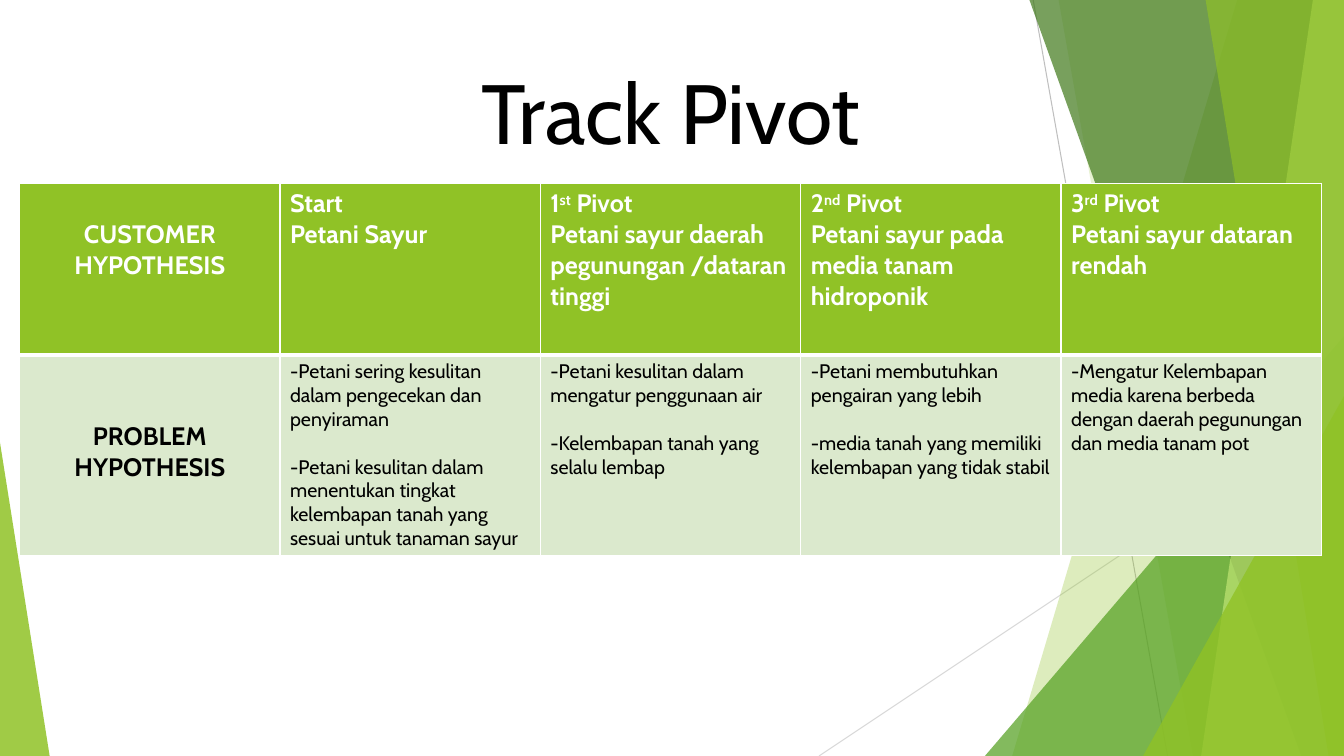
"""Build the Track Pivot slide: a hypothesis table over green angular shapes."""
from lxml.etree import SubElement
from pptx import Presentation
from pptx.dml.color import RGBColor
from pptx.enum.shapes import MSO_CONNECTOR, MSO_SHAPE
from pptx.enum.text import MSO_ANCHOR, PP_ALIGN
from pptx.oxml import parse_xml
from pptx.oxml.ns import nsdecls, qn
from pptx.util import Pt

TITLE = "Track Pivot"
FONT = "Cabin"
PIVOTS = [
    (("Start", "", ""), "Petani Sayur"),
    (("1", "st", " Pivot"), "Petani sayur daerah pegunungan /dataran tinggi"),
    (("2", "nd", " Pivot"), "Petani sayur pada media tanam hidroponik"),
    (("3", "rd", " Pivot"), "Petani sayur dataran rendah"),
]
PROBLEMS = [
    ["-Petani sering kesulitan dalam pengecekan dan penyiraman",
     "-Petani kesulitan dalam menentukan tingkat kelembapan tanah yang sesuai untuk tanaman sayur"],
    ["-Petani kesulitan dalam mengatur penggunaan air",
     "-Kelembapan tanah yang selalu lembap"],
    ["-Petani membutuhkan pengairan yang lebih",
     "-media tanah yang memiliki kelembapan yang tidak stabil"],
    ["-Mengatur Kelembapan media karena berbeda dengan daerah pegunungan dan media tanam pot"],
]
COLORS = {"lime": "90C226", "green": "54A021", "forest": "3F7819", "pale": "C0E474",
          "mint": "DBE9CD", "white": "FFFFFF", "black": "000000",
          "gray": "BFBFBF", "light gray": "D9D9D9"}

WIDTH, HEIGHT = 960, 540
RAYS = [((738, 0), (834, HEIGHT), "gray"), ((WIDTH, 290), (585, HEIGHT), "light gray")]
# Bands hold top and bottom x; triangles hold left, top, width and apex position.
FACETS = [
    ("band", (884, 723), "lime", 30),
    ("band", (756, 852), "lime", 20),
    ("triangle", (703.5, 240, 256.5, 1), "green", 72),
    ("band", (735, 929.5), "forest", 70),
    ("band", (938, 858), "pale", 70),
    ("band", (861, 949), "lime", 65),
    ("triangle", (816.5, 283, 143.5, 1), "lime", 80),
    ("triangle", (0, 316, 35.5, 0), "lime", 85),
]
TABLE_LEFT, TABLE_TOP, COLUMN_WIDTH = 14, 131, 186
ROW_HEIGHTS = (122.4, 142.5)
CELL_MARGIN, HEADING_LINE, PROBLEM_LINE = 3.6, 22, 17


def rgb(name):
    return RGBColor.from_string(COLORS[name])


def add_ray(slide, start, end, color):
    ray = slide.shapes.add_connector(MSO_CONNECTOR.STRAIGHT, *map(Pt, start + end))
    ray.line.color.rgb = rgb(color)
    ray.line.width = Pt(0.75)
    SubElement(ray._element.spPr, qn("a:effectLst"))


def add_facet(slide, kind, geometry, color, opacity):
    if kind == "band":
        top_x, bottom_x = geometry
        outline = slide.shapes.build_freeform(Pt(top_x), Pt(-1))
        corners = [(WIDTH, -1), (WIDTH, HEIGHT), (bottom_x, HEIGHT)]
        outline.add_line_segments([(Pt(x), Pt(y)) for x, y in corners], close=True)
        facet = outline.convert_to_shape()
    else:
        left, top, width, apex = geometry
        facet = slide.shapes.add_shape(MSO_SHAPE.ISOSCELES_TRIANGLE,
                                       Pt(left), Pt(top), Pt(width), Pt(HEIGHT - top))
        facet.adjustments[0] = apex
    facet.shadow.inherit = False
    facet.line.fill.background()
    facet.fill.solid()
    facet.fill.fore_color.rgb = rgb(color)
    tint = facet._element.spPr.find(qn("a:solidFill"))[0]
    SubElement(tint, qn("a:alpha")).set("val", str(opacity * 1000))


def style_cell(cell, fill, thick_side):
    cell.fill.solid()
    cell.fill.fore_color.rgb = rgb(fill)
    properties = cell._tc.get_or_add_tcPr()
    for place, side in enumerate("LRTB"):
        width = Pt(3 if side == thick_side else 1)
        properties.insert(place, parse_xml(
            f'<a:ln{side} {nsdecls("a")} w="{width}"><a:solidFill>'
            f'<a:srgbClr val="{COLORS["white"]}"/></a:solidFill></a:ln{side}>'))


def style_paragraph(paragraph, size, color, bold):
    font = paragraph.font
    font.name, font.size, font.bold = FONT, Pt(size), bold
    font.color.rgb = rgb(color)


def write_label(cell, label, color, lines_above):
    cell.text = label
    cell.margin_top = Pt(CELL_MARGIN + lines_above * HEADING_LINE)
    paragraph = cell.text_frame.paragraphs[0]
    paragraph.alignment = PP_ALIGN.CENTER
    style_paragraph(paragraph, 18, color, True)


def write_pivot(cell, stage, customer):
    heading = cell.text_frame.paragraphs[0]
    for part, baseline in zip(stage, (0, 30000, 0)):
        if part:
            run = heading.add_run()
            run.text = part
            if baseline:
                run._r.get_or_add_rPr().set("baseline", str(baseline))
    cell.text_frame.add_paragraph().text = customer
    for paragraph in cell.text_frame.paragraphs:
        style_paragraph(paragraph, 18, "white", True)


def write_problems(cell, problems):
    cell.text = "\n".join(problems)
    for number, paragraph in enumerate(cell.text_frame.paragraphs):
        style_paragraph(paragraph, 14, "black", False)
        if number:
            paragraph.space_before = Pt(PROBLEM_LINE)


def add_hypotheses(slide):
    columns = len(PIVOTS) + 1
    table = slide.shapes.add_table(2, columns, Pt(TABLE_LEFT), Pt(TABLE_TOP),
                                   Pt(columns * COLUMN_WIDTH), Pt(sum(ROW_HEIGHTS))).table
    for column in table.columns:
        column.width = Pt(COLUMN_WIDTH)
    for row, height, fill, thick_side in zip(table.rows, ROW_HEIGHTS, ("lime", "mint"), "BT"):
        row.height = Pt(height)
        for cell in row.cells:
            style_cell(cell, fill, thick_side)
    write_label(table.cell(0, 0), "CUSTOMER HYPOTHESIS", "white", 1)
    write_label(table.cell(1, 0), "PROBLEM HYPOTHESIS", "black", 2)
    for column, ((stage, customer), problems) in enumerate(zip(PIVOTS, PROBLEMS), 1):
        write_pivot(table.cell(0, column), stage, customer)
        write_problems(table.cell(1, column), problems)


def add_title(slide):
    title = slide.shapes.title
    title.left, title.top, title.width, title.height = map(Pt, (301, 39, 356, 80))
    title.text_frame.text = TITLE
    title.text_frame.vertical_anchor = MSO_ANCHOR.MIDDLE
    heading = title.text_frame.paragraphs[0]
    heading.alignment = PP_ALIGN.CENTER
    style_paragraph(heading, 60, "black", False)


def main():
    deck = Presentation()
    deck.slide_width, deck.slide_height = Pt(WIDTH), Pt(HEIGHT)
    slide = deck.slides.add_slide(deck.slide_layouts[5])
    for ray in RAYS:
        add_ray(slide, *ray)
    for facet in FACETS:
        add_facet(slide, *facet)
    add_hypotheses(slide)
    add_title(slide)
    deck.save("out.pptx")


if __name__ == "__main__":
    main()
